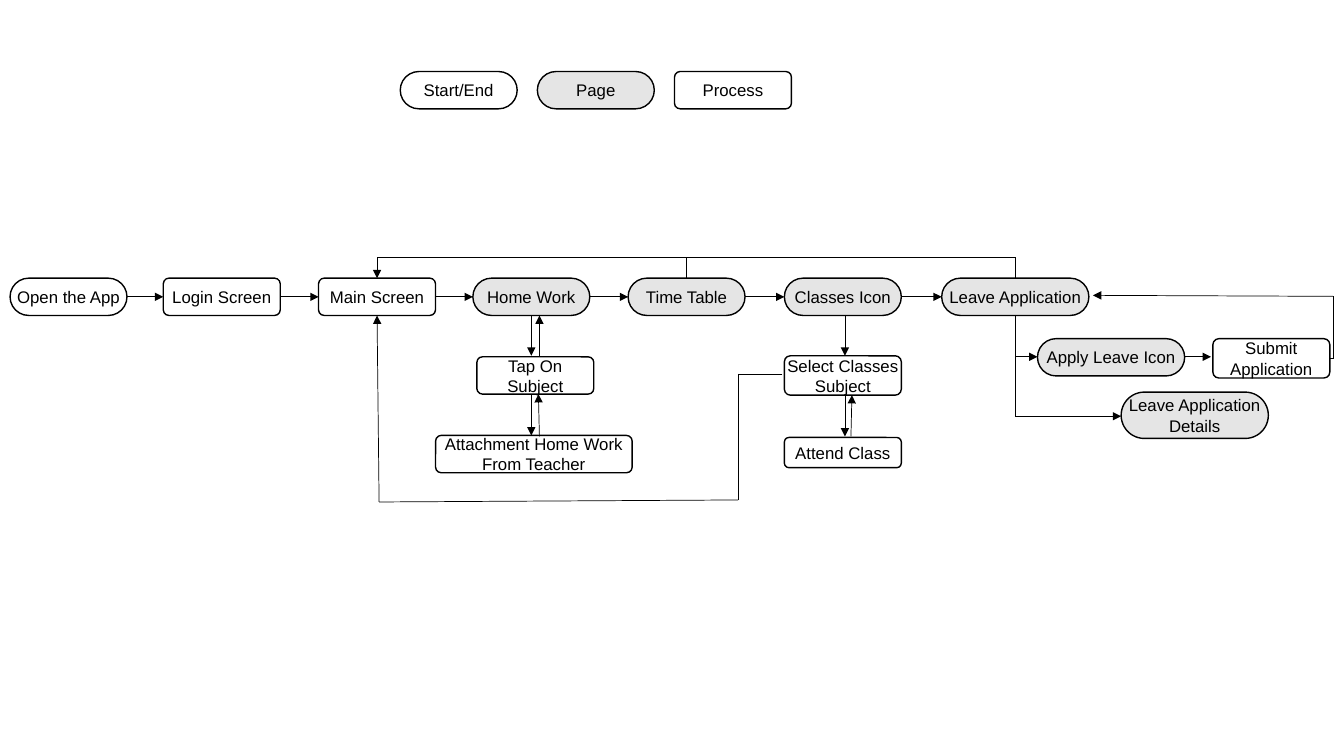
from dataclasses import dataclass
from itertools import pairwise

from lxml.etree import SubElement
from pptx import Presentation
from pptx.dml.color import RGBColor
from pptx.enum.shapes import MSO_CONNECTOR, MSO_SHAPE
from pptx.enum.text import MSO_ANCHOR, PP_ALIGN
from pptx.oxml.ns import qn
from pptx.util import Inches, Pt

INK, GREY = "000000", "E5E5E5"
START, PAGE, STEP = "start", "page", "step"
FRAME = {
    "word_wrap": False,
    "vertical_anchor": MSO_ANCHOR.MIDDLE,
    "margin_left": 0,
    "margin_right": 0,
    "margin_top": 0,
    "margin_bottom": 0,
}
FONT = {"name": "Arial", "size": Pt(12)}
TOP, RAIL = 2.76, 2.55
MAIN, LEAVE = 3.74, 10.07  # x of the lines at Main Screen and Leave Application


@dataclass
class Node:
    text: str
    kind: str
    left: float
    top: float
    width: float = 1.16
    height: float = 0.37


@dataclass
class Route:
    points: list[tuple[float, float]]
    arrow: bool = True


def tint(code: str) -> RGBColor:
    return RGBColor.from_string(code)


def apply(target, values: dict) -> None:
    for name, value in values.items():
        setattr(target, name, value)


def draw_node(shapes, node: Node):
    box = shapes.add_shape(
        MSO_SHAPE.ROUNDED_RECTANGLE,
        *map(Inches, (node.left, node.top, node.width, node.height)),
    )
    box.adjustments[0] = 0.152 if node.kind == STEP else 0.5
    box.shadow.inherit = False
    box.line.color.rgb = tint(INK)
    box.line.width = Pt(1)
    if node.kind == PAGE:
        box.fill.solid()
        box.fill.fore_color.rgb = tint(GREY)
    else:
        box.fill.background()
    frame = box.text_frame
    frame.text = node.text
    apply(frame, FRAME)
    for para in frame.paragraphs:
        para.alignment = PP_ALIGN.CENTER
        apply(para.runs[0].font, FONT)
        para.runs[0].font.color.rgb = tint(INK)
    return box


def draw_line(shapes, start: tuple, end: tuple, arrow: bool):
    line = shapes.add_connector(MSO_CONNECTOR.STRAIGHT, *map(Inches, start + end))
    line.line.color.rgb = tint(INK)
    line.line.width = Pt(0.5)
    if arrow:
        SubElement(line.line._get_or_add_ln(), qn("a:tailEnd"), type="triangle")
    SubElement(line._element.spPr, qn("a:effectLst"))
    return line


def draw_route(shapes, route: Route) -> None:
    """Draw one straight leg per pair of points, with the arrow on the last."""
    legs = list(pairwise(route.points))
    for i, (start, end) in enumerate(legs, 1):
        draw_line(shapes, start, end, route.arrow and i == len(legs))


LEGEND = [
    Node(text, kind, 3.97 + 1.36 * i, 0.71)
    for i, (text, kind) in enumerate(
        [("Start/End", START), ("Page", PAGE), ("Process", STEP)]
    )
]
FLOW = [
    Node("Open the App", START, 0.1, TOP),
    Node("Login Screen", STEP, 1.62, TOP),
    Node("Main Screen", STEP, 3.16, TOP),
    Node("Home Work", PAGE, 4.69, TOP),
    Node("Time Table", PAGE, 6.23, TOP),
    Node("Classes Icon", PAGE, 7.78, TOP),
    Node("Leave Application", PAGE, 9.34, TOP, 1.46),
]
BRANCHES = [
    Node("Tap On\nSubject", STEP, 4.73, 3.54),
    Node("Attachment Home Work\nFrom Teacher", STEP, 4.32, 4.32, 1.95),
    Node("Select Classes\nSubject", STEP, 7.78, 3.53, height=0.39),
    Node("Attend Class", STEP, 7.78, 4.34, height=0.3),
    Node("Apply Leave Icon", PAGE, 10.29, 3.36, 1.46),
    Node("Submit\nApplication", STEP, 12.03, 3.36, height=0.39),
    Node("Leave Application\nDetails", PAGE, 11.12, 3.89, 1.46, 0.46),
]
ROUTES = [
    # Home Work and its subjects
    Route([(5.27, 3.13), (5.27, 3.53)]),
    Route([(5.27, 3.92), (5.27, 4.32)]),
    Route([(5.35, 4.33), (5.34, 3.91)]),
    Route([(5.35, 3.54), (5.35, 3.13)]),
    # Classes
    Route([(8.38, 3.13), (8.38, 3.53)]),
    Route([(8.38, 3.93), (8.38, 4.33)]),
    Route([(8.44, 4.33), (8.45, 3.92)]),
    # Back to Main Screen
    Route([(6.81, TOP), (6.81, RAIL), (MAIN, RAIL), (MAIN, TOP)]),
    Route([(LEAVE, TOP), (LEAVE, RAIL), (6.81, RAIL)], arrow=False),
    Route([(7.76, 3.71), (7.32, 3.71), (7.32, 4.96), (3.76, 4.98), (MAIN, 3.13)]),
    # Leave
    Route([(LEAVE, 3.13), (LEAVE, 3.54), (10.29, 3.54)]),
    Route([(LEAVE, 3.13), (LEAVE, 4.13), (11.12, 4.13)]),
    Route([(11.75, 3.54), (12.01, 3.54)]),
    Route([(13.19, 3.56), (13.22, 3.56), (13.22, 2.94), (10.84, 2.93)]),
]


def main() -> None:
    deck = Presentation()
    deck.slide_width, deck.slide_height = Inches(13.33), Inches(7.5)
    shapes = deck.slides.add_slide(deck.slide_layouts[6]).shapes
    for node in LEGEND + BRANCHES:
        draw_node(shapes, node)
    boxes = [draw_node(shapes, node) for node in FLOW]
    for left, right in pairwise(boxes):
        link = draw_line(shapes, (0, 0), (0, 0), True)
        link.begin_connect(left, 3)
        link.end_connect(right, 1)
    for route in ROUTES:
        draw_route(shapes, route)
    deck.save("out.pptx")


if __name__ == "__main__":
    main()
